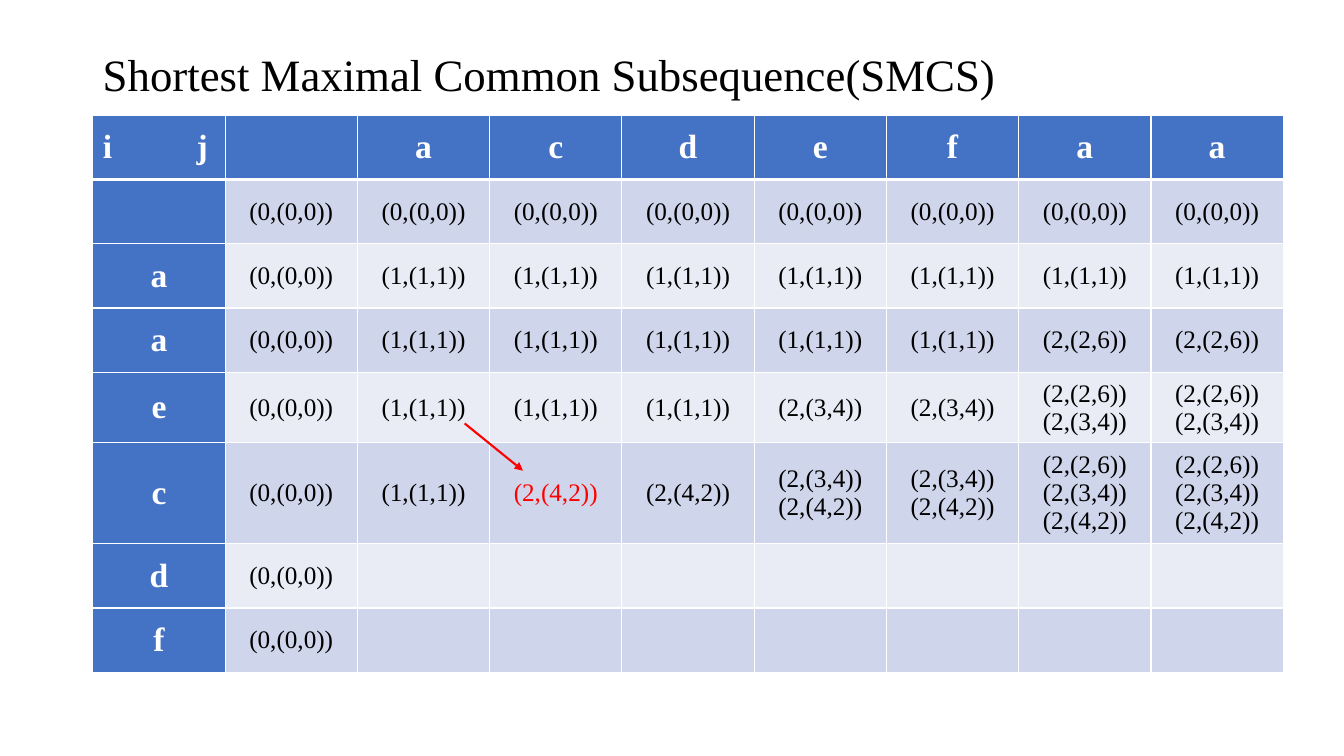
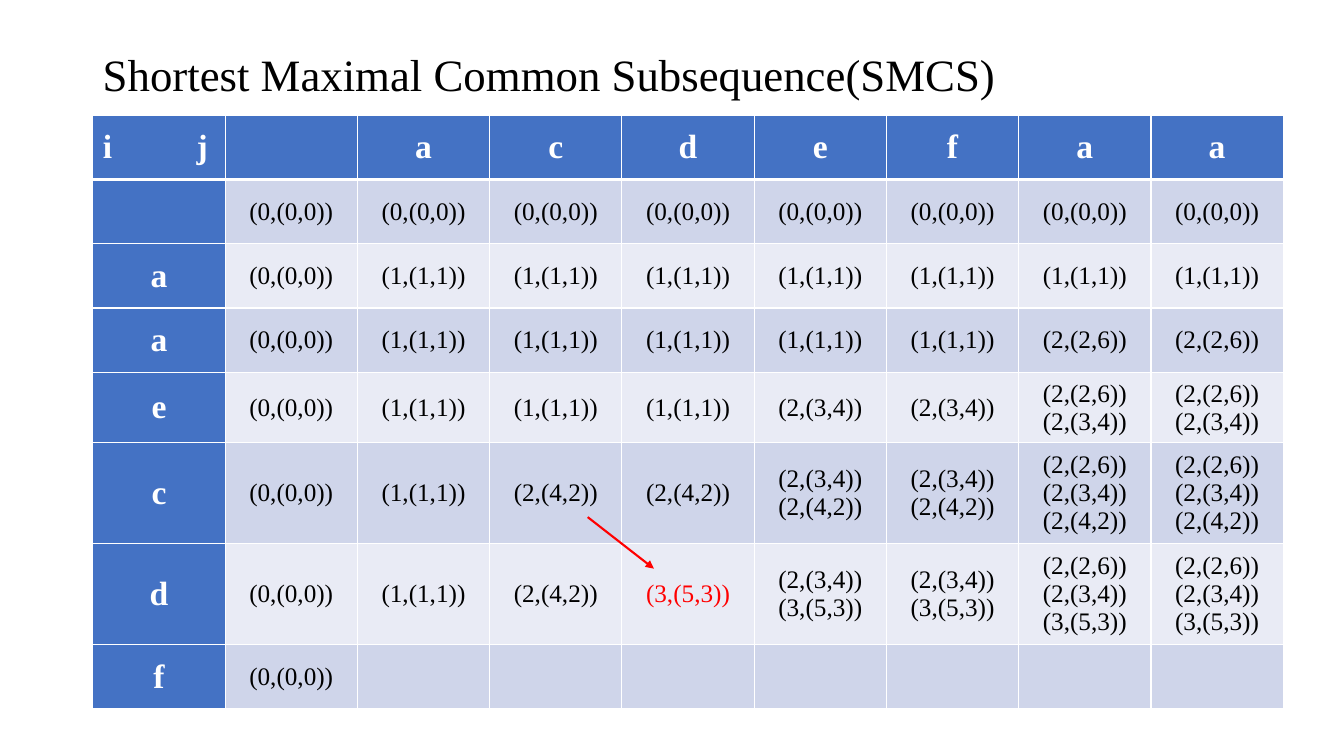
from lxml.etree import SubElement
from pptx import Presentation
from pptx.dml.color import RGBColor
from pptx.enum.shapes import MSO_CONNECTOR
from pptx.enum.text import MSO_ANCHOR, PP_ALIGN
from pptx.oxml.ns import qn
from pptx.util import Cm, Pt

COLORS = {
    "head": "4472C4", "dark": "CFD5EA", "light": "E9EBF5",
    "white": "FFFFFF", "black": "000000", "red": "FF0000",
}
FACE = "Times New Roman"
TITLE = {"name": FACE, "size": Pt(32), "bold": False}
LABEL = {"name": FACE, "size": Pt(24), "bold": True}
VALUE = {"name": FACE, "size": Pt(18), "bold": False}

LEFT, TOP, WIDTH = 2.34, 2.9, 30
ROW, LINE, PAD = 1.62, 0.7, 0.25
TAB = 2.36

# Each cell lists its entries, split by spaces
ZERO, ONE = "(0,(0,0))", "(1,(1,1))"
AA, AE, AC, ACD = "(2,(2,6))", "(2,(3,4))", "(2,(4,2))", "(3,(5,3))"
HEAD = ["i\tj", "", *"acdefaa"]
BASE = [
    HEAD,
    ["", *[ZERO] * 8],
    ["a", ZERO, *[ONE] * 7],
    ["a", ZERO, *[ONE] * 5, AA, AA],
    ["e", ZERO, *[ONE] * 3, AE, AE, *[f"{AA} {AE}"] * 2],
    ["c", ZERO, ONE, AC, AC, *[f"{AE} {AC}"] * 2, *[f"{AA} {AE} {AC}"] * 2],
]
D_ROW = ["d", ZERO, ONE, AC, ACD, *[f"{AE} {ACD}"] * 2,
         *[f"{AA} {AE} {ACD}"] * 2]


def blank(letter):
    """Row that holds only its first value."""
    return [letter, ZERO, *[""] * 7]


STEPS = [
    {"rows": [*BASE, blank("d"), blank("f")], "hot": (5, 3),
     "arrow": (11.71, 10.67, 13.18, 11.86)},
    {"rows": [*BASE, D_ROW, blank("f")], "hot": (6, 4),
     "arrow": (14.81, 13.03, 16.48, 14.33)},
]


def rgb(name):
    return RGBColor.from_string(COLORS[name])


def write(frame, lines, look, color, align):
    """Write one paragraph per line."""
    for num, line in enumerate(lines):
        para = frame.add_paragraph() if num else frame.paragraphs[0]
        para.alignment = align
        run = para.add_run()
        run.text = line
        for key, val in look.items():
            setattr(run.font, key, val)
        run.font.color.rgb = rgb(color)


def add_title(slide, text):
    box = slide.shapes.add_textbox(Cm(LEFT), Cm(1.02), Cm(29.21), Cm(1.85))
    frame = box.text_frame
    frame.word_wrap = True
    frame.vertical_anchor = MSO_ANCHOR.MIDDLE
    write(frame, [text], TITLE, "black", PP_ALIGN.LEFT)
    frame.paragraphs[0].line_spacing = 0.9


def add_edges(cell, base):
    """Draw white borders, with the given width at the bottom."""
    props = cell._tc.get_or_add_tcPr()
    for side, width in (("L", 1), ("R", 1), ("T", 1), ("B", base)):
        edge = SubElement(props, qn(f"a:ln{side}"), w=str(Pt(width)))
        fill = SubElement(edge, qn("a:solidFill"))
        SubElement(fill, qn("a:srgbClr"), val=COLORS["white"])


def add_tab(para):
    stops = SubElement(para._p.get_or_add_pPr(), qn("a:tabLst"))
    SubElement(stops, qn("a:tab"), pos=str(Cm(TAB)), algn="l")


def fill_cell(cell, text, row, col, hot):
    label = row == 0 or col == 0
    add_edges(cell, 3 if row == 0 else 1)
    cell.fill.solid()
    band = "dark" if row % 2 else "light"
    cell.fill.fore_color.rgb = rgb("head" if label else band)
    cell.vertical_anchor = MSO_ANCHOR.MIDDLE
    if not text:
        return
    align = PP_ALIGN.CENTER
    if "\t" in text:
        align = PP_ALIGN.LEFT
        add_tab(cell.text_frame.paragraphs[0])
    color = "white" if label else "red" if hot else "black"
    look = LABEL if label else VALUE
    write(cell.text_frame, text.split(" "), look, color, align)


def add_grid(slide, rows, hot):
    shape = slide.shapes.add_table(
        len(rows), len(HEAD), Cm(LEFT), Cm(TOP), Cm(WIDTH),
        Cm(ROW * len(rows)))
    table = shape.table
    table.first_col = True
    for row, texts in enumerate(rows):
        most = max(len(text.split(" ")) for text in texts)
        table.rows[row].height = Cm(max(ROW, most * LINE + PAD))
        for col, text in enumerate(texts):
            fill_cell(table.cell(row, col), text, row, col, (row, col) == hot)


def add_arrow(slide, ends):
    arrow = slide.shapes.add_connector(
        MSO_CONNECTOR.STRAIGHT, *[Cm(end) for end in ends])
    arrow.line.color.rgb = rgb("red")
    arrow.line.width = Pt(1.5)
    props = arrow.element.spPr
    SubElement(props.find(qn("a:ln")), qn("a:tailEnd"), type="triangle")
    SubElement(props, qn("a:effectLst"))


def main():
    deck = Presentation()
    deck.slide_width, deck.slide_height = Cm(33.87), Cm(19.05)
    for step in STEPS:
        slide = deck.slides.add_slide(deck.slide_layouts[6])
        add_title(slide, "Shortest Maximal Common Subsequence(SMCS)")
        add_grid(slide, step["rows"], step["hot"])
        add_arrow(slide, step["arrow"])
    deck.save("out.pptx")


if __name__ == "__main__":
    main()
